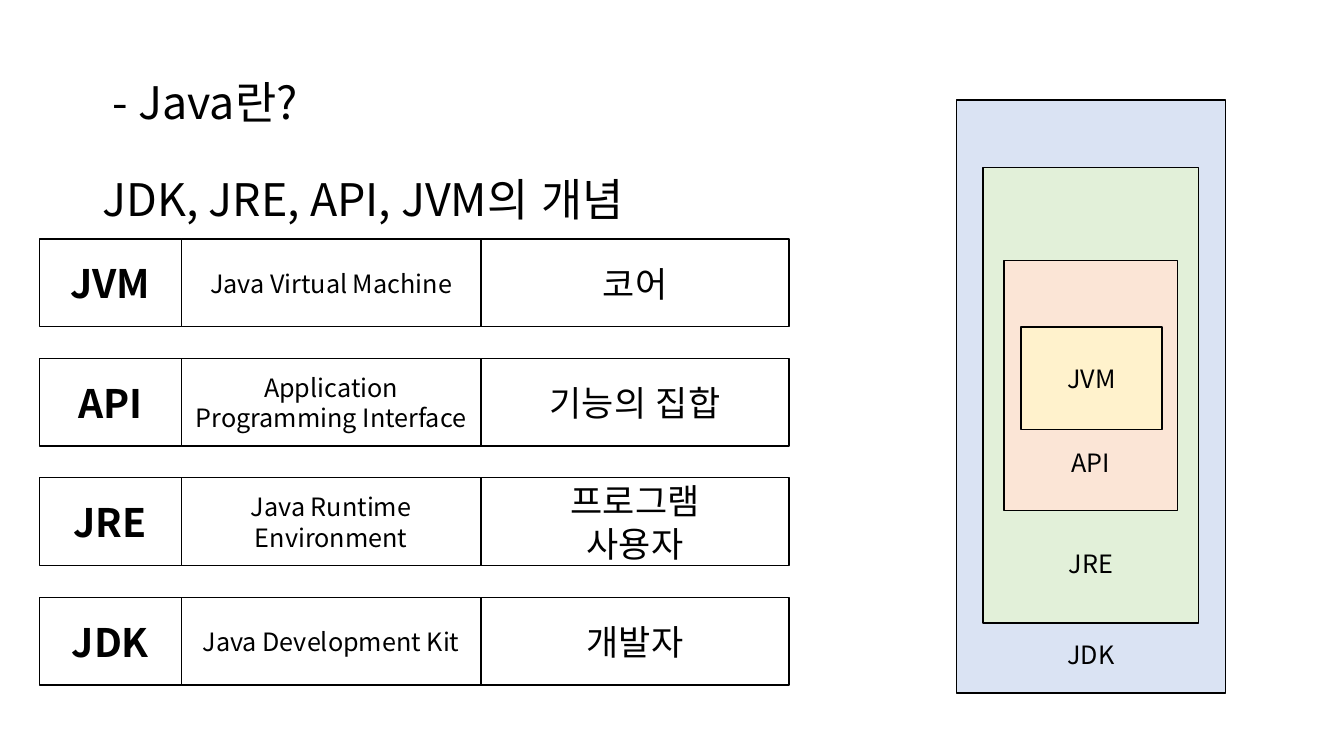
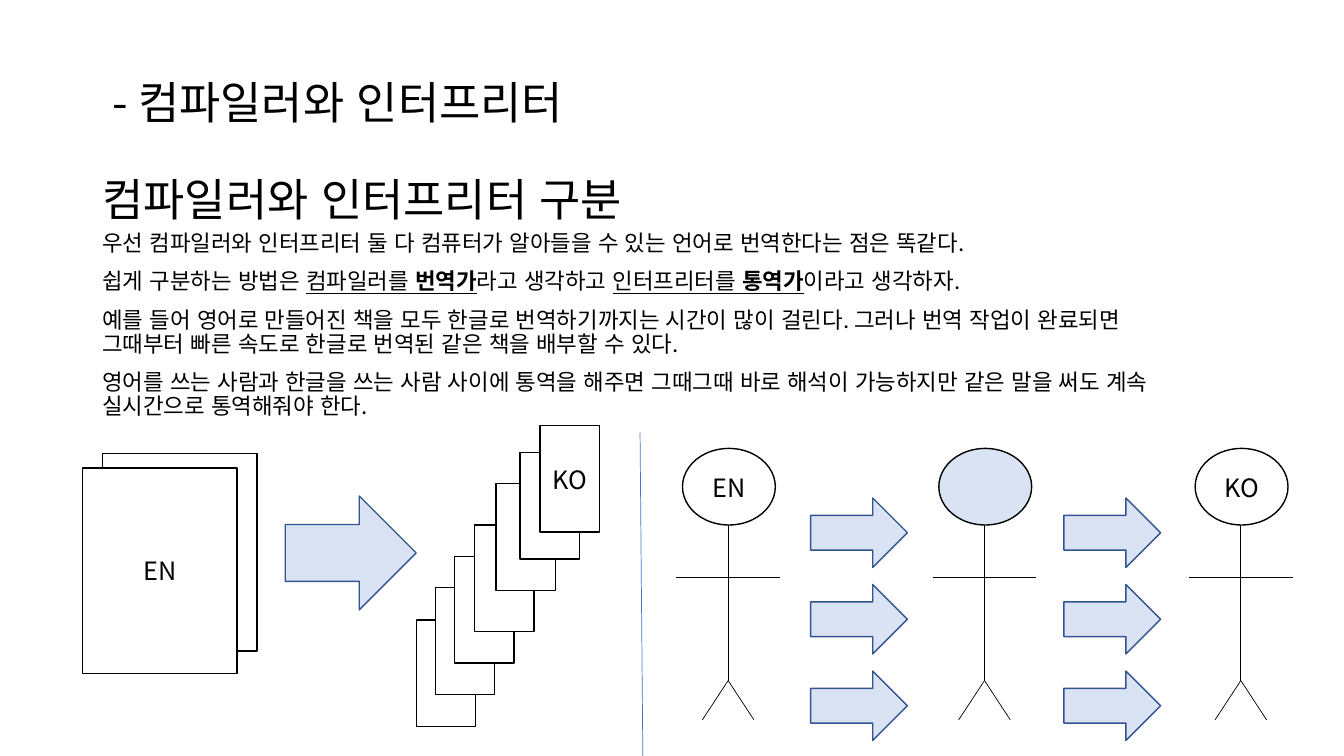
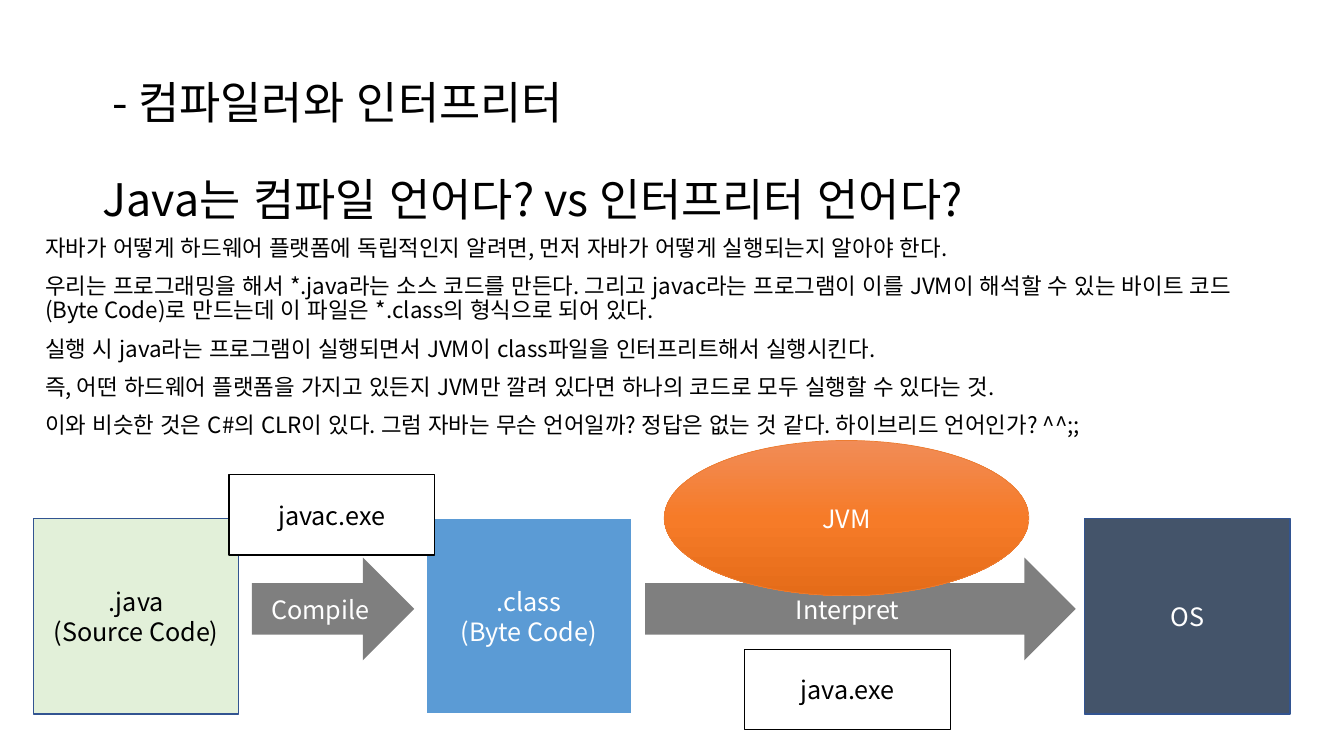
"""Build three slides on Java, its toolkit layers, and compilers versus interpreters."""
from copy import deepcopy

from lxml import etree
from pptx import Presentation
from pptx.dml.color import RGBColor as RGB
from pptx.enum.lang import MSO_LANGUAGE_ID as LANG
from pptx.enum.shapes import MSO_CONNECTOR as CONN, MSO_SHAPE as SHAPE
from pptx.enum.text import MSO_ANCHOR as ANCHOR, MSO_AUTO_SIZE as FIT, PP_ALIGN as ALIGN
from pptx.oxml.ns import qn
from pptx.util import Cm, Pt

FONT = "Noto Sans CJK KR"
COLORS = {
    "black": "000000", "white": "FFFFFF", "blue": "DAE3F3", "green": "E2F0D9",
    "peach": "FBE5D6", "yellow": "FFF2CC", "navy": "325491", "divider": "4472C4",
    "slate": "44546A", "sky": "5B9BD5", "orange": "ED7D31",
    "glow_top": "F18C57", "glow_mid": "F67B28", "glow_end": "E56C19",
}
C = {name: RGB.from_string(value) for name, value in COLORS.items()}


def style(p, size, color="black", bold=None, pitch=1.22):
    p.line_spacing = Pt(round(size * pitch, 1))
    for r in p.runs:
        r.font.name = FONT
        r.font.size = Pt(size)
        r.font.color.rgb = C[color]
        r.font.language_id = LANG.KOREAN
        if bold is not None:
            r.font.bold = bold
        ea = etree.Element(qn("a:ea"), typeface=FONT)
        r.font._element.find(qn("a:latin")).addnext(ea)


def add_box(s, kind, box, fill, line="black", text="", size=18, color="black", bold=None, width=1):
    sp = s.shapes.add_shape(kind, *map(Cm, box))
    sp.shadow.inherit = False
    sp.fill.solid()
    sp.fill.fore_color.rgb = C[fill]
    if line:
        sp.line.color.rgb = C[line]
        sp.line.width = Pt(width)
    else:
        sp.line.fill.background()
    if text:
        tf = sp.text_frame
        tf.text = text
        tf.word_wrap = True
        tf.vertical_anchor = ANCHOR.MIDDLE
        for p in tf.paragraphs:
            p.alignment = ALIGN.CENTER
            style(p, size, color, bold)
    return sp


prs = Presentation()
prs.slide_width, prs.slide_height = Cm(33.87), Cm(19.05)

titles = [
    " - Java란?\nJDK, JRE, API, JVM의 개념",
    " - 컴파일러와 인터프리터\n컴파일러와 인터프리터 구분",
    " - 컴파일러와 인터프리터\nJava는 컴파일 언어다? vs 인터프리터 언어다?",
]
for title in titles:
    sp = prs.slides.add_slide(prs.slide_layouts[5]).shapes.title
    sp.left, sp.top, sp.width, sp.height = map(Cm, (2.33, 1.27, 29.63, 4.45))
    tf = sp.text_frame
    tf.text = title
    tf.auto_size = FIT.NONE
    tf.word_wrap = True
    tf.vertical_anchor = ANCHOR.BOTTOM
    tf.margin_bottom = Cm(0.05)
    for p in tf.paragraphs:
        p.alignment = ALIGN.LEFT
        style(p, 32, pitch=1.08)
    tf.paragraphs[1].space_before = Pt(34.5)
s1, s2, s3 = prs.slides

bodies = [
    (s2, (2.33, 5.72, 27.58, 5.18), [
        ["우선 컴파일러와 인터프리터 둘 다 컴퓨터가 알아들을 수 있는 언어로 번역한다는 점은 똑같다."],
        ["쉽게 구분하는 방법은 ", "컴파일러를 ", "번역가", "라고 생각하고 ",
         "인터프리터를 ", "통역가", "이라고 생각하자."],
        ["예를 들어 영어로 만들어진 책을 모두 한글로 번역하기까지는 시간이 많이 걸린다. "
         "그러나 번역 작업이 완료되면 그때부터 빠른 속도로 한글로 번역된 같은 책을 배부할 수 있다."],
        ["영어를 쓰는 사람과 한글을 쓰는 사람 사이에 통역을 해주면 그때그때 바로 해석이 가능하지만 "
         "같은 말을 써도 계속 실시간으로 통역해줘야 한다."],
    ]),
    (s3, (0.89, 5.84, 30.73, 7.29), [
        ["자바가 어떻게 하드웨어 플랫폼에 독립적인지 알려면, 먼저 자바가 어떻게 실행되는지 알아야 한다."],
        ["우리는 프로그래밍을 해서 *.java라는 소스 코드를 만든다. 그리고 javac라는 프로그램이 이를 "
         "JVM이 해석할 수 있는 바이트 코드(Byte Code)로 만드는데 이 파일은 *.class의 형식으로 되어 있다."],
        ["실행 시 java라는 프로그램이 실행되면서 JVM이 class파일을 인터프리트해서 실행시킨다."],
        ["즉, 어떤 하드웨어 플랫폼을 가지고 있든지 JVM만 깔려 있다면 하나의 코드로 모두 실행할 수 있다는 것."],
        ["이와 비슷한 것은 C#의 CLR이 있다. 그럼 자바는 무슨 언어일까? 정답은 없는 것 같다. "
         "하이브리드 언어인가? ^^;;"],
    ]),
]
bold_words = {"번역가", "통역가"}
underlined = bold_words | {"컴파일러를 ", "인터프리터를 "}
for s, box, paragraphs in bodies:
    tf = s.shapes.add_textbox(*map(Cm, box)).text_frame
    tf.word_wrap = True
    for i, parts in enumerate(paragraphs):
        p = tf.paragraphs[0] if i == 0 else tf.add_paragraph()
        if i:
            p.space_before = Pt(10)
        for part in parts:
            r = p.add_run()
            r.text = part
            r.font.bold = part in bold_words
            r.font.underline = part in underlined
        style(p, 16, pitch=1.08)

layers = [
    ("JDK", (24.1, 2.52, 6.78, 14.94), "blue", 0.6),
    ("JRE", (24.77, 4.22, 5.44, 11.48), "green", 1.12),
    ("API", (25.3, 6.56, 4.37, 6.3), "peach", 0.82),
    ("JVM", (25.73, 8.24, 3.56, 2.59), "yellow", None),
]
for name, box, fill, margin in layers:
    tf = add_box(s1, SHAPE.RECTANGLE, box, fill, text=name).text_frame
    if margin:
        tf.vertical_anchor = ANCHOR.BOTTOM
        tf.margin_bottom = Cm(margin)

columns = [(0.99, 3.58, 28, True), (4.57, 7.55, 18, None), (12.12, 7.77, 25, None)]
terms = [
    ("JVM", "Java Virtual Machine", "코어"),
    ("API", "Application Programming Interface", "기능의 집합"),
    ("JRE", "Java Runtime Environment", "프로그램\n사용자"),
    ("JDK", "Java Development Kit", "개발자"),
]
for i, term in enumerate(terms):
    for (x, w, size, bold), text in zip(columns, term):
        add_box(s1, SHAPE.RECTANGLE, (x, 6.02 + 3.01 * i, w, 2.21), "white",
                text=text, size=size, bold=bold)

add_box(s2, SHAPE.RECTANGLE, (2.59, 11.43, 3.89, 4.98), "white")
add_box(s2, SHAPE.RECTANGLE, (2.08, 11.79, 3.89, 5.18), "white", text="EN")
pages = [(10.49, 15.62), (10.97, 14.81), (11.46, 14.02), (11.96, 13.23),
         (12.5, 12.19), (13.11, 11.4), (13.61, 10.72)]
for x, y in pages:
    add_box(s2, SHAPE.RECTANGLE, (x, y, 1.5, 2.69), "white",
            text="KO" if (x, y) == pages[-1] else "")
add_box(s2, SHAPE.RIGHT_ARROW, (7.19, 12.5, 3.3, 2.87), "blue", "navy")

lines = [(16.13, 10.9, 16.2, 19.05, "divider")]
for i, (text, fill) in enumerate([("EN", "white"), ("", "blue"), ("KO", "white")]):
    cx = 18.35 + 6.46 * i
    add_box(s2, SHAPE.OVAL, (cx - 1.15, 11.3, 2.34, 1.93), fill, text=text)
    lines += [
        (cx, 13.23, cx, 17.15, "black"),
        (cx - 0.65, 18.14, cx, 17.15, "black"),
        (cx, 17.15, cx + 0.65, 18.14, "black"),
        (cx - 1.31, 14.55, cx + 1.31, 14.55, "black"),
    ]
for *ends, color in lines:
    cn = s2.shapes.add_connector(CONN.STRAIGHT, *map(Cm, ends))
    cn.line.color.rgb = C[color]
    cn.line.width = Pt(0.5)
    etree.SubElement(cn._element.spPr, qn("a:effectLst"))
for i in range(2):
    for j in range(3):
        add_box(s2, SHAPE.RIGHT_ARROW, (20.43 + 6.38 * i, 12.55 + 2.18 * j, 2.44, 1.75),
                "blue", "navy")

stages = [
    (27.33, "OS", "slate", "navy", "white", 1),
    (0.84, ".java\n(Source Code)", "green", "navy", "black", 1),
    (10.74, ".class\n(Byte Code)", "sky", "white", "white", 1.5),
]
for x, text, fill, line, color, width in stages:
    add_box(s3, SHAPE.RECTANGLE, (x, 13.06, 5.18, 4.93), fill, line, text, color=color, width=width)
for x, w, text in [(6.35, 4.09, "Compile"), (16.26, 10.85, "Interpret")]:
    sp = add_box(s3, SHAPE.RIGHT_ARROW, (x, 14.05, w, 2.59), "black", None, text, color="white")
    clr = sp._element.spPr.find(qn("a:solidFill")).find(qn("a:srgbClr"))
    etree.SubElement(clr, qn("a:alpha"), val="50000")

sp = add_box(s3, SHAPE.OVAL, (16.74, 11.1, 9.19, 3.91), "orange", "orange", "JVM",
             color="white", width=0.5)
sp.fill.gradient()
sp.fill.gradient_angle = 270
stops = sp._element.spPr.find(qn("a:gradFill")).find(qn("a:gsLst"))
stops.append(deepcopy(stops[-1]))
for i, (stop, name) in enumerate(zip(sp.fill.gradient_stops, ("glow_top", "glow_mid", "glow_end"))):
    stop.position = i / 2
    stop.color.rgb = C[name]

for x, y, text in [(5.77, 11.96, "javac.exe"), (18.77, 16.36, "java.exe")]:
    add_box(s3, SHAPE.RECTANGLE, (x, y, 5.18, 2.03), "white", text=text)

prs.save("out.pptx")
